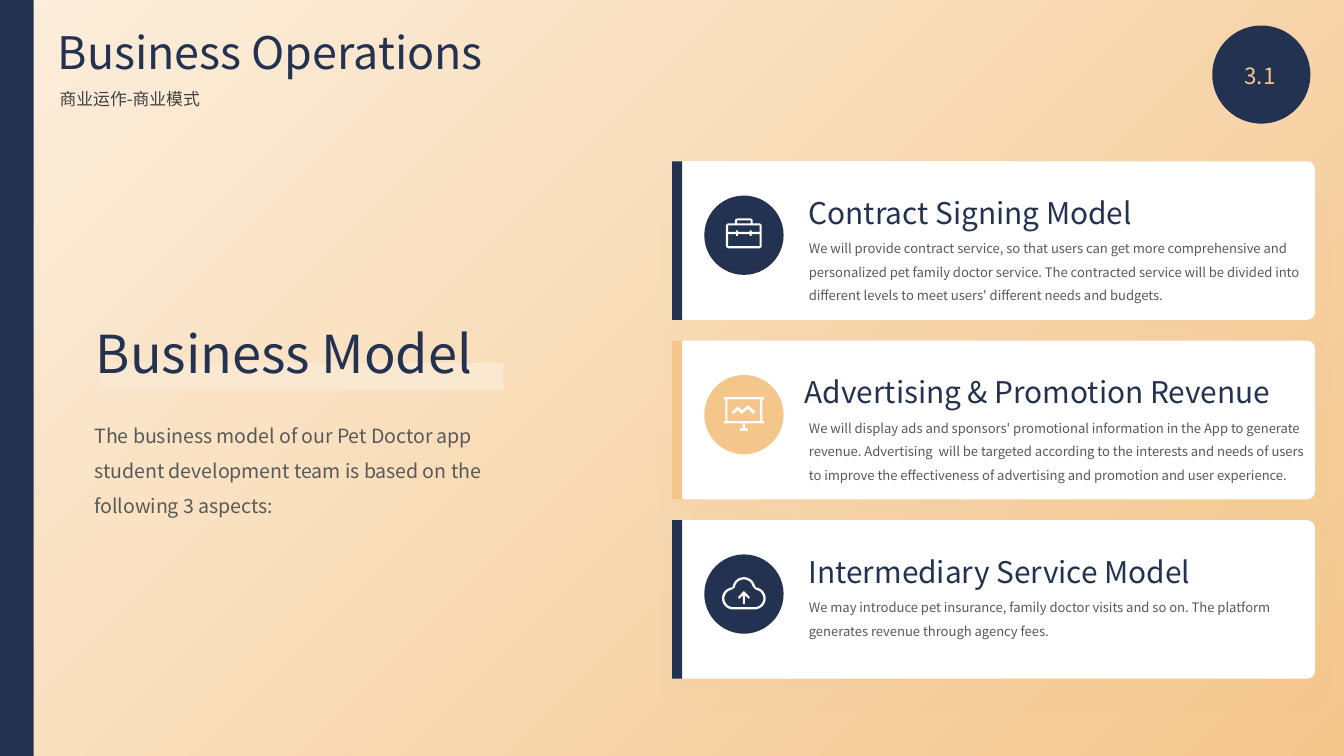
from collections import namedtuple
from math import cos, radians, sin

from lxml.etree import SubElement
from pptx import Presentation
from pptx.dml.color import RGBColor
from pptx.enum.shapes import MSO_SHAPE
from pptx.enum.text import PP_ALIGN
from pptx.oxml.ns import qn
from pptx.util import Inches, Pt

NAVY = RGBColor(0x22, 0x32, 0x50)
SAND = RGBColor(0xF4, 0xC6, 0x8C)
CREAM = RGBColor(0xFC, 0xEE, 0xDC)
MARKER = RGBColor(0xFB, 0xE8, 0xD1)
WHITE = RGBColor(0xFF, 0xFF, 0xFF)
DARK_GREY = RGBColor(0x40, 0x40, 0x40)
GREY = RGBColor(0x59, 0x59, 0x59)
FONT = "Noto Sans CJK SC"

# The slide is a grid of 100 columns by 56.25 rows of square cells
COLS, ROWS = 100, 56.25
CELL = Inches(10) / COLS
ICON_UNIT = CELL / 100

Box = namedtuple("Box", "x y w h")
Card = namedtuple("Card", "title text color icon title_x text_h")


def within(box, x, y, w, h):
    """Box of w by h cells, offset by x and y cells from the corner of box."""
    return Box(box.x + x, box.y + y, w, h)


def emu(box):
    return [round(v * CELL) for v in box]


def paint(sp, color):
    sp.shadow.inherit = False
    sp.fill.solid()
    sp.fill.fore_color.rgb = color
    sp.line.fill.background()
    return sp


def add_block(s, kind, box, color):
    return paint(s.shapes.add_shape(kind, *emu(box)), color)


def add_text(s, box, text, size, color, align=None, spacing=None):
    tf = s.shapes.add_textbox(*emu(box)).text_frame
    tf.word_wrap = True
    p = tf.paragraphs[0]
    p.alignment = align
    p.line_spacing = spacing
    r = p.add_run()
    r.text = text
    r.font.size = Pt(size)
    r.font.color.rgb = color
    r.font.name = FONT
    SubElement(r.font._element, qn("a:ea"), typeface=FONT)


def add_soft_shadow(sp):
    effects = sp._element.spPr.find(qn("a:effectLst"))
    shadow = SubElement(effects, qn("a:outerShdw"), blurRad=str(Pt(10)),
                        dist=str(Pt(10)), dir="5400000", rotWithShape="0")
    color = SubElement(shadow, qn("a:srgbClr"), val=str(SAND))
    SubElement(color, qn("a:alpha"), val="10000")


# Icon outlines, in hundredths of a cell around the badge centre
def rect(left, top, right, bottom):
    return [(left, top), (right, top), (right, bottom), (left, bottom)]


def arc(cx, cy, radius, start, end):
    return [(cx + radius * cos(radians(a)), cy + radius * sin(radians(a)))
            for a in range(start, end + 1, 8)]


def cloud(inset):
    return (arc(-80, 33, 82 - inset, 90, 262)
            + arc(0, -40, 85 - inset, 187, 353)
            + arc(80, 33, 82 - inset, 278, 450))


def mirrored(half):
    """Close a left half outline with its reflection."""
    return half + [(-x, y) for x, y in reversed(half)]


BRIEFCASE = [[
    mirrored([(-45, -125), (-62, -120), (-66, -105), (-66, -88), (-120, -88),
              (-133, -75), (-133, 85), (-120, 98)]),
    rect(-50, -109, 50, -88),
    mirrored([(-117, -72), (-117, -24), (-58, -24), (-58, -36), (-44, -36),
              (-44, -24)]),
    mirrored([(-117, 82), (-117, -8), (-58, -8), (-58, 6), (-44, 6),
              (-44, -8)]),
]]
BOARD = [
    [[(30, -70), (-15, -30), (-45, -60), (-90, -20), (-78, -5), (-45, -35),
      (-15, -5), (30, -45), (70, -5), (85, -20)]],
    [mirrored([(-148, -130), (-148, -113), (-137, -113), (-137, 48),
               (-148, 48), (-148, 65), (-9, 65), (-9, 103), (-30, 103),
               (-30, 120)]),
     rect(-122, -113, 122, 48)],
]
UPLOAD = [
    [mirrored([(0, -23), (-45, 25), (-35, 36), (-8, 10), (-8, 75)])],
    [cloud(0), cloud(17)],
]


def add_icon(s, badge, icon):
    cx = round((badge.x + badge.w / 2) * CELL)
    cy = round((badge.y + badge.h / 2) * CELL)
    for first, *holes in icon:
        fb = s.shapes.build_freeform(*first[0], scale=ICON_UNIT)
        fb.add_line_segments(first[1:])
        for hole in holes:
            fb.move_to(*hole[0])
            fb.add_line_segments(hole[1:])
        paint(fb.convert_to_shape(cx, cy), WHITE)


def add_background(s):
    fill = s.background.fill
    fill.gradient()
    fill.gradient_angle = 135
    for stop, color in zip(fill.gradient_stops, (SAND, CREAM)):
        stop.color.rgb = color


def add_header(s, box):
    add_text(s, within(box, 3.3, 1.35, 72.2, 5), "Business Operations", 24, NAVY)
    add_text(s, within(box, 3.45, 6.1, 28.5, 2.5), "商业运作-商业模式", 9,
             DARK_GREY, PP_ALIGN.JUSTIFY)
    # Section number
    add_block(s, MSO_SHAPE.OVAL, within(box, 90.2, 1.9, 7.3, 7.3), NAVY)
    add_text(s, within(box, 90, 4.1, 7.5, 3), "3.1", 12, SAND, PP_ALIGN.CENTER)


def add_intro(s, box):
    add_block(s, MSO_SHAPE.RECTANGLE, within(box, 1.35, 3.6, 30.1, 2), MARKER)
    add_text(s, within(box, 0.05, 6.75, 34.6, 9),
             "The business model of our Pet Doctor app student development "
             "team is based on the following 3 aspects:",
             10.5, GREY, spacing=1.5)
    add_text(s, within(box, 0.15, 0, 35.4, 5.1), "Business Model", 28, NAVY)


def add_card(s, box, card):
    panel = add_block(s, MSO_SHAPE.ROUNDED_RECTANGLE,
                      within(box, 0.35, 0, box.w - 0.3, box.h), WHITE)
    panel.adjustments[0] = 0.05
    add_soft_shadow(panel)
    add_block(s, MSO_SHAPE.RECTANGLE, within(box, 0, 0, 0.75, box.h), card.color)
    # Badge
    badge = within(box, 2.4, 2.55, 5.9, 5.9)
    add_block(s, MSO_SHAPE.OVAL, badge, card.color)
    add_icon(s, badge, card.icon)
    # Wording
    add_text(s, within(box, 9.2, 4.85, 39.2, card.text_h), card.text, 7, GREY,
             spacing=1.5)
    add_text(s, within(box, card.title_x, 2, 40.3, 3.7), card.title, 16, NAVY)


CARDS = [
    Card("Contract Signing Model",
         "We will provide contract service, so that users can get more "
         "comprehensive and personalized pet family doctor service. The "
         "contracted service will be divided into different levels to meet "
         "users' different needs and budgets.", NAVY, BRIEFCASE, 9.2, 6.3),
    Card("Advertising & Promotion Revenue",
         "We will display ads and sponsors' promotional information in the App "
         "to generate revenue. Advertising  will be targeted according to the "
         "interests and needs of users to improve the effectiveness of "
         "advertising and promotion and user experience.",
         SAND, BOARD, 8.9, 6.3),
    Card("Intermediary Service Model",
         "We may introduce pet insurance, family doctor visits and so on. The "
         "platform generates revenue through agency fees.",
         NAVY, UPLOAD, 9.2, 4.5),
]
CARD_PITCH = 13.35


def main():
    prs = Presentation()
    prs.slide_width, prs.slide_height = round(COLS * CELL), round(ROWS * CELL)
    s = prs.slides.add_slide(prs.slide_layouts[6])
    add_background(s)
    add_block(s, MSO_SHAPE.RECTANGLE, Box(0, 0, 2.5, ROWS), NAVY)
    add_header(s, Box(0, 0, COLS, 10))
    add_intro(s, Box(6, 23.4, 35.6, 15.7))
    for i, card in enumerate(CARDS):
        add_card(s, Box(50, 12 + i * CARD_PITCH, 47.8, 11.8), card)
    prs.save("out.pptx")


if __name__ == "__main__":
    main()
